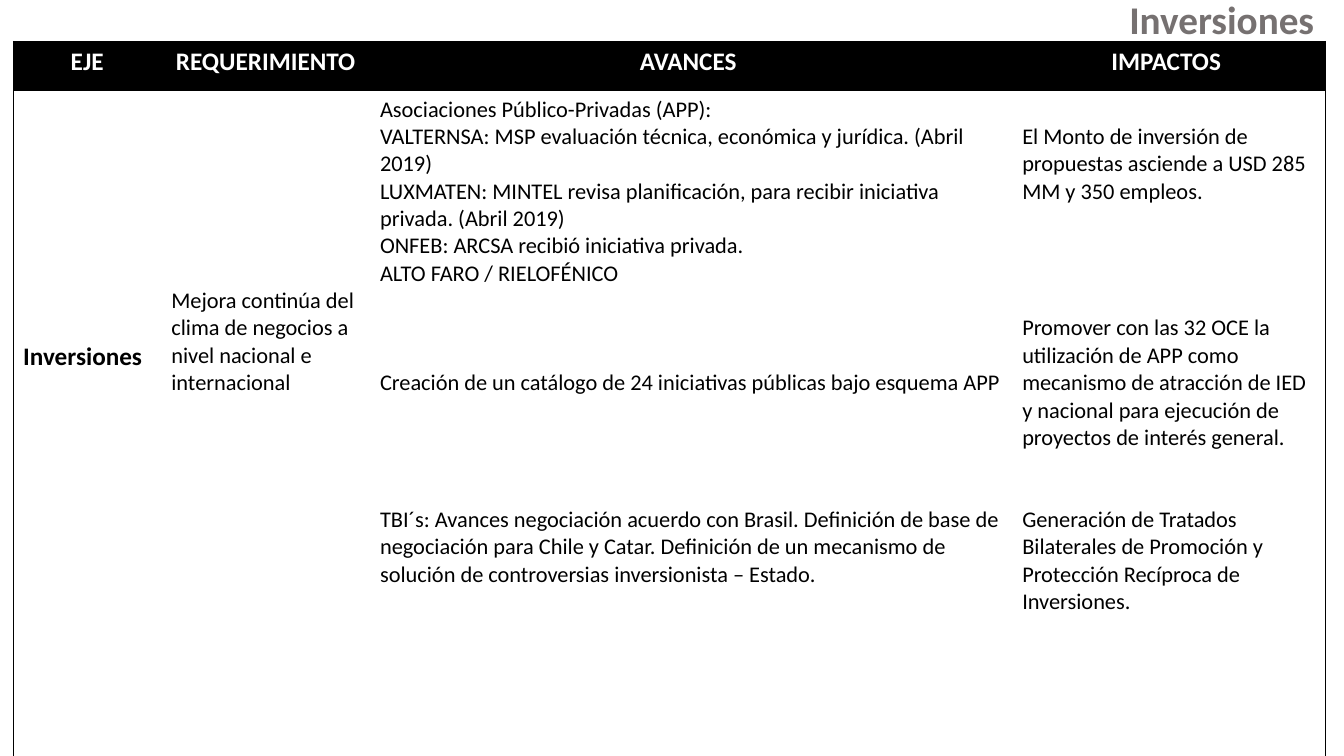
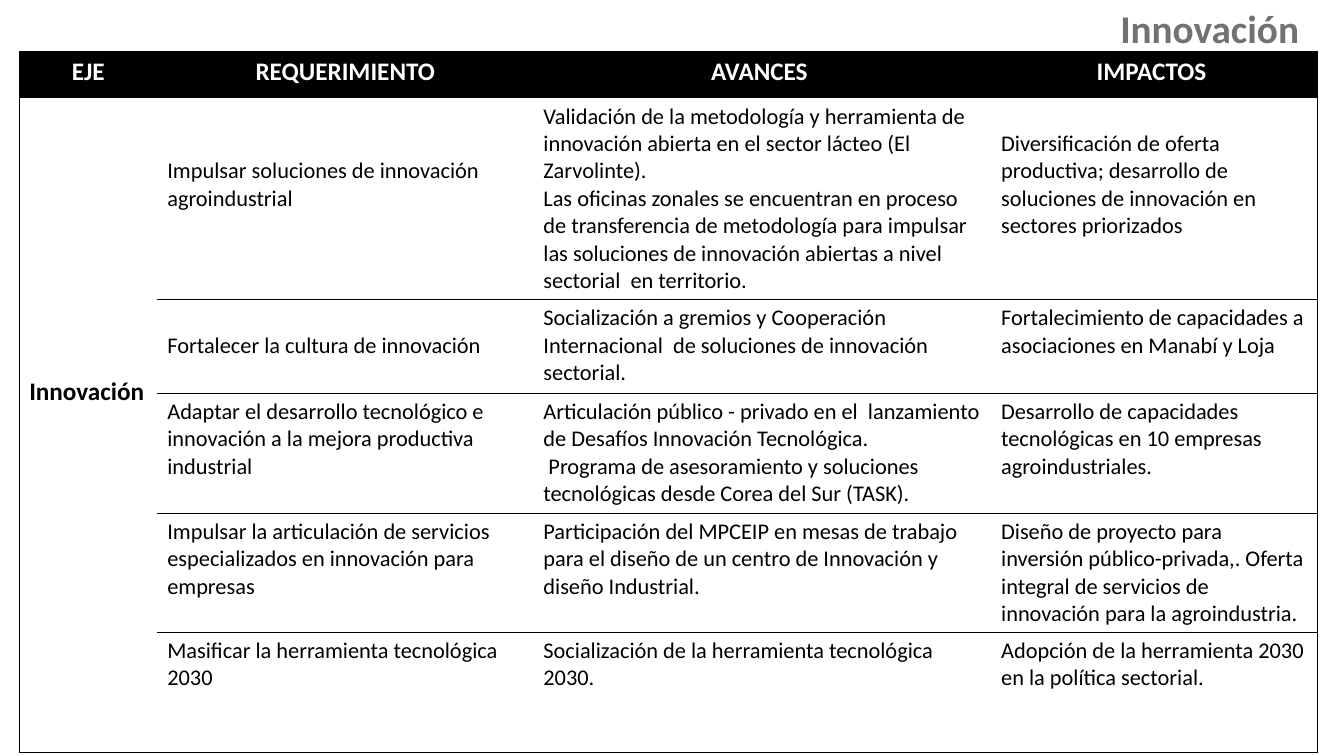
"""Build two slides of progress tables on investment and innovation."""
from lxml.etree import SubElement as Sub
from pptx import Presentation
from pptx.dml.color import RGBColor
from pptx.enum.text import PP_ALIGN as Align, MSO_ANCHOR as Anchor
from pptx.oxml.ns import qn
from pptx.util import Inches, Pt

BLACK = RGBColor(0, 0, 0)
WHITE = RGBColor(255, 255, 255)
GRAY = RGBColor(0x76, 0x71, 0x71)
FONT = "Calibri"
LINE = 19.53
PAD = 0.05
HEADS = ["EJE", "REQUERIMIENTO", "AVANCES ", "IMPACTOS "]

SLIDES = [
    {
        "title": "Inversiones ", "title_at": (8.91, -0.1),
        "at": (0.13, 0.41), "cols": [1.47, 2.07, 6.37, 3.11],
        "rows": [0.49, 6.6], "closed": False,
        "axis": (9, "Inversiones"),
        "body": [[
            [(7, "Mejora continúa del clima de negocios a nivel nacional e "
                 "internacional")],
            [(0, "Asociaciones Público-Privadas (APP):"),
             (0, "VALTERNSA: MSP evaluación técnica, económica y jurídica. "
                 "(Abril 2019)"),
             (0, "LUXMATEN: MINTEL revisa planificación, para recibir "
                 "iniciativa privada. (Abril 2019)"),
             (0, "ONFEB: ARCSA recibió iniciativa privada."),
             (0, "ALTO FARO / RIELOFÉNICO"),
             (3, "Creación de un catálogo de 24 iniciativas públicas bajo "
                 "esquema APP"),
             (4, "TBI´s: Avances negociación acuerdo con Brasil. Definición "
                 "de base de negociación para Chile y Catar. Definición de un "
                 "mecanismo de solución de controversias inversionista – "
                 "Estado.")],
            [(1, "El Monto de inversión de propuestas asciende a USD 285 MM "
                 "y 350 empleos."),
             (4, "Promover con las 32 OCE la utilización de APP como "
                 "mecanismo de atracción de IED y nacional para ejecución de "
                 "proyectos de interés general."),
             (2, "Generación de Tratados Bilaterales de Promoción y "
                 "Protección Recíproca de Inversiones.")],
        ]],
    },
    {
        "title": "Innovación ", "title_at": (8.76, -0.01),
        "at": (0.19, 0.51), "cols": [1.37, 3.73, 4.54, 3.24],
        "rows": [0.46, 2, 0.93, 1.19, 1.18, 1.19], "closed": True,
        "axis": (10, "Innovación"),
        "body": [
            [[(2, "Impulsar soluciones de innovación agroindustrial")],
             [(0, "Validación de la metodología y herramienta de  innovación "
                  "abierta en el sector lácteo (El  Zarvolinte)."),
              (0, "Las oficinas zonales se encuentran en proceso de "
                  "transferencia de metodología para impulsar las soluciones "
                  "de innovación abiertas a nivel sectorial  en territorio.")],
             [(1, "Diversificación de oferta productiva; desarrollo de "
                  "soluciones de innovación en sectores priorizados")]],
            [[(1, "Fortalecer la cultura de innovación")],
             [(0, "Socialización a gremios y Cooperación Internacional  de "
                  "soluciones de innovación sectorial.")],
             [(0, "Fortalecimiento de capacidades a asociaciones en Manabí y "
                  "Loja")]],
            [[(0, "Adaptar el desarrollo tecnológico e innovación a la mejora "
                  "productiva industrial")],
             [(0, "Articulación público - privado en el  lanzamiento de "
                  "Desafíos Innovación Tecnológica."),
              (0, " Programa de asesoramiento y soluciones tecnológicas desde "
                  "Corea del Sur (TASK).")],
             [(0, "Desarrollo de capacidades tecnológicas en 10 empresas  "
                  "agroindustriales.")]],
            [[(0, "Impulsar la articulación de servicios especializados en "
                  "innovación para empresas")],
             [(0, "Participación del MPCEIP en mesas de trabajo para el "
                  "diseño de un centro de Innovación y diseño Industrial.")],
             [(0, "Diseño de proyecto para inversión público-privada,. Oferta "
                  "integral de servicios de innovación para la "
                  "agroindustria.")]],
            [[(0, "Masificar la herramienta tecnológica 2030")],
             [(0, "Socialización de la herramienta tecnológica 2030.")],
             [(0, "Adopción de la herramienta 2030 en la política "
                  "sectorial.")]],
        ],
    },
]


def add_run(para, text, size, color, bold):
    run = para.add_run()
    run.text = text
    font = run.font
    font.name, font.size, font.bold = FONT, Pt(size), bold
    font.color.rgb = color


def set_edges(cell, edges):
    props = cell._tc.get_or_add_tcPr()
    for side in "LRTB":
        line = Sub(props, qn("a:ln" + side), w=str(Pt(0.5)))
        if side in edges:
            fill = Sub(line, qn("a:solidFill"))
            Sub(fill, qn("a:srgbClr"), val=str(BLACK))
        else:
            Sub(line, qn("a:noFill"))


def find_edges(row, col, last, closed):
    tests = {
        "L": col == 0,
        "R": col == len(HEADS) - 1,
        "T": row == 0 or (row > 1 and col > 0),
        "B": row > 0 and (closed or row < last)
             and (col > 0 or row in (1, last)),
    }
    return [side for side, on in tests.items() if on]


def fill_cell(cell, paras, size, color, bold, align):
    cell.vertical_anchor = Anchor.TOP
    cell.margin_top = Inches(PAD) + Pt(paras[0][0] * LINE)
    frame = cell.text_frame
    for num, (gap, text) in enumerate(paras):
        para = frame.add_paragraph() if num else frame.paragraphs[0]
        para.alignment = align
        if num and gap:
            para.space_before = Pt(gap * LINE)
        add_run(para, text, size, color, bold)


def add_grid(slide, data):
    cols, rows = data["cols"], data["rows"]
    last = len(rows) - 1
    box = [Inches(n) for n in (*data["at"], sum(cols), sum(rows))]
    table = slide.shapes.add_table(len(rows), len(cols), *box).table
    table.first_row = table.horz_banding = False
    for part, width in zip(table.columns, cols):
        part.width = Inches(width)
    for part, height in zip(table.rows, rows):
        part.height = Inches(height)
    for row in range(len(rows)):
        for col, head in enumerate(HEADS):
            cell = table.cell(row, col)
            set_edges(cell, find_edges(row, col, last, data["closed"]))
            cell.fill.solid()
            cell.fill.fore_color.rgb = WHITE if row else BLACK
            if row == 0:
                fill_cell(cell, [(0, head)], 18, WHITE, True, Align.CENTER)
            elif col:
                paras = data["body"][row - 1][col - 1]
                fill_cell(cell, paras, 16, BLACK, False, Align.LEFT)
    axis = table.cell(1, 0)
    if last > 1:
        axis.merge(table.cell(last, 0))
    fill_cell(axis, [data["axis"]], 18, BLACK, True, Align.LEFT)


def add_title(slide, data):
    box = [Inches(n) for n in (*data["title_at"], 4.31, 0.57)]
    frame = slide.shapes.add_textbox(*box).text_frame
    frame.word_wrap = True
    para = frame.paragraphs[0]
    para.alignment = Align.RIGHT
    add_run(para, data["title"], 28, GRAY, True)


def main():
    deck = Presentation()
    deck.slide_width, deck.slide_height = Inches(13.33), Inches(7.5)
    for data in SLIDES:
        slide = deck.slides.add_slide(deck.slide_layouts[6])
        add_grid(slide, data)
        add_title(slide, data)
    deck.save("out.pptx")


if __name__ == "__main__":
    main()
